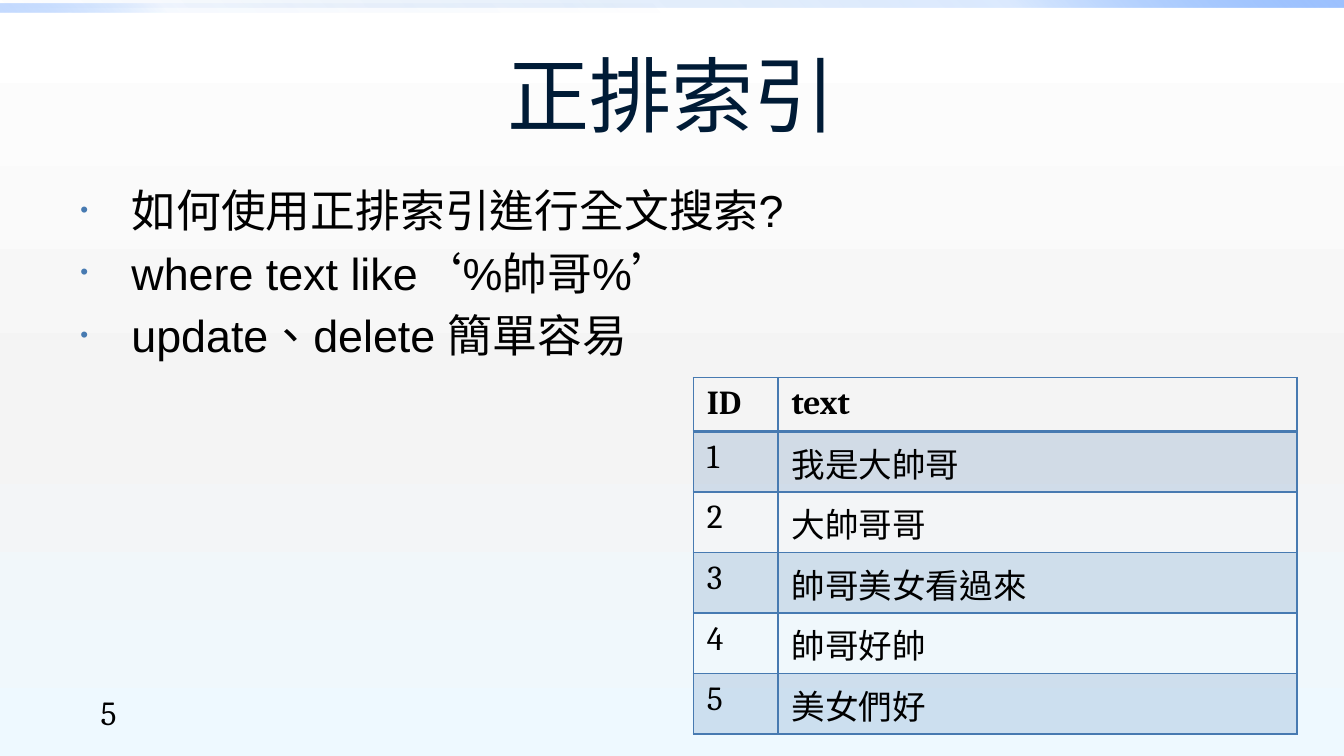
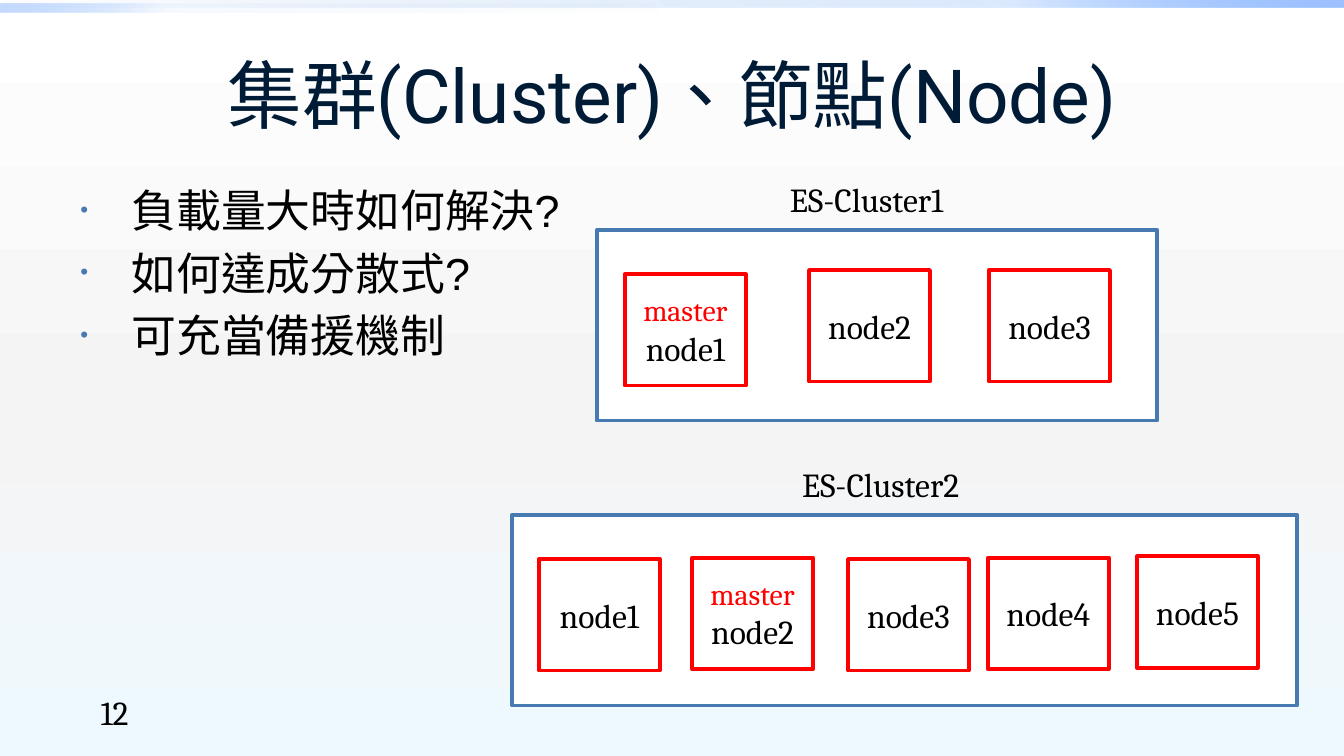
"""Build two slides on forward indexes and search clusters."""
from lxml import etree
from pptx import Presentation
from pptx.dml.color import RGBColor
from pptx.enum.shapes import MSO_SHAPE
from pptx.enum.text import MSO_ANCHOR, MSO_AUTO_SIZE, PP_ALIGN
from pptx.oxml.ns import qn
from pptx.util import Inches, Pt

RECT = MSO_SHAPE.RECTANGLE
TOP, MIDDLE = MSO_ANCHOR.TOP, MSO_ANCHOR.MIDDLE
GROW, FIXED = MSO_AUTO_SIZE.SHAPE_TO_FIT_TEXT, MSO_AUTO_SIZE.NONE
LEFT, CENTER = PP_ALIGN.LEFT, PP_ALIGN.CENTER

BLUE, RED, WHITE, BLACK, NAVY = "477AB1", "FF0000", "FFFFFF", "000000", "001B36"
TITLE = {"name": "Roboto", "size": Pt(44), "color": NAVY}
LONG_TITLE = {**TITLE, "size": Pt(40)}
BULLET = {"name": "Arial", "size": Pt(24), "color": BLACK}
LABEL = {"name": "Cambria", "size": Pt(18), "color": BLACK, "bold": False}
HEADER = {**LABEL, "bold": True}
MASTER = {**LABEL, "size": Pt(16), "color": RED}
LANGUAGE = "zh-TW"

SLIDE_WIDTH = Inches(10)
SLIDE_HEIGHT = SLIDE_WIDTH * 9 // 16
BACKDROP = [(0, "FFFFFF", 100), (55, "F4F4F4", 100), (100, "EEF9FF", 100)]
BANDS = [
    ((0, 0, 10, 0.06), 315, [(0, "0058B7", 0), (75, "4F95FF", 20), (100, "9EC2FF", 100)]),
    ((0, 0.03, 5, 0.06), 135, [(0, "0058B7", 0), (75, "4F95FF", 5), (100, "9EC2FF", 60)]),
]
TITLE_BOX = (0.5, 0.23, 9, 0.94)
NUMBER_BOX = (0.65, 5.1, 0.73, 0.3)
NODE_SIZE = (0.9, 0.83)
GRID_STYLE = "{5940675A-B579-460E-94D1-54222C63F5DA}"

INDEX_BULLETS = ["如何使用正排索引進行全文搜索?", "where text like‘%帥哥%’", "update、delete 簡單容易"]
INDEX_ROWS = [("ID", "text"), ("1", "我是大帥哥"), ("2", "大帥哥哥"),
              ("3", "帥哥美女看過來"), ("4", "帥哥好帥"), ("5", "美女們好")]
INDEX_COLUMNS = (0.63, 3.86)
INDEX_HEIGHTS = (0.33, 0.41, 0.41, 0.41, 0.41, 0.41)
INDEX_BOX = (5.16, 2.81, 4.49, 2.43)

CLUSTER_BULLETS = ["負載量大時如何解決?", "如何達成分散式?", "可充當備援機制"]
CLUSTERS = [
    {"name": "ES-Cluster2", "name_box": (5.87, 3.4, 2.68, 0.71), "frame": (3.81, 3.83, 5.84, 1.42),
     "nodes": [(4.01, 4.16, [[("node1", LABEL)]]),
               (5.15, 4.15, [[("master ", MASTER), ("node2", LABEL)]]),
               (6.31, 4.16, [[("node3", LABEL)]]),
               (7.35, 4.15, [[("node4", LABEL)]]),
               (8.46, 4.14, [[("node5", LABEL)]])]},
    {"name": "ES-Cluster1", "name_box": (5.78, 1.28, 1.57, 0.4), "frame": (4.44, 1.71, 4.17, 1.42),
     "nodes": [(4.65, 2.04, [[("master", MASTER)], [("node1", LABEL)]]),
               (6.02, 2.01, [[("node2", LABEL)]]),
               (7.36, 2.01, [[("node3", LABEL)]])]},
]


def rgb(color):
    """Turn a hex string into a colour."""
    return RGBColor.from_string(color)


def inches(values):
    """Convert numbers to lengths."""
    return [Inches(value) for value in values]


def add(parent, tag, **attributes):
    """Append an XML child with the given attributes."""
    child = etree.SubElement(parent, qn(tag))
    for key, value in attributes.items():
        child.set(key, str(value))
    return child


def set_gradient(fill, element, stops, angle):
    """Give a fill a linear gradient of (percent, colour, opacity) stops."""
    fill.gradient()
    gradient = element.find(".//" + qn("a:gradFill"))
    stop_list = gradient.find(qn("a:gsLst"))
    for default in list(stop_list):
        stop_list.remove(default)
    for position, color, opacity in stops:
        stop = add(stop_list, "a:gs", pos=position * 1000)
        stop_color = add(stop, "a:srgbClr", val=color)
        if opacity < 100:
            add(stop_color, "a:alpha", val=opacity * 1000)
    gradient.find(qn("a:lin")).set("ang", str(angle * 60000))


def write(frame, paragraphs, align=LEFT, **frame_format):
    """Fill a text frame with paragraphs of (text, format) runs."""
    for key, value in {"word_wrap": True, **frame_format}.items():
        setattr(frame, key, value)
    for index, runs in enumerate(paragraphs):
        paragraph = frame.paragraphs[0] if index == 0 else frame.add_paragraph()
        paragraph.alignment = align
        for text, font_format in runs:
            run = paragraph.add_run()
            run.text = text
            run._r.get_or_add_rPr().set("lang", LANGUAGE)
            for key, value in font_format.items():
                if key == "color":
                    run.font.color.rgb = rgb(value)
                else:
                    setattr(run.font, key, value)


def add_text(shapes, box, paragraphs, **frame_format):
    """Add a text box."""
    text_box = shapes.add_textbox(*inches(box))
    write(text_box.text_frame, paragraphs, **frame_format)
    return text_box


def add_rectangle(shapes, box, line):
    """Add a white rectangle with a coloured outline."""
    rectangle = shapes.add_shape(RECT, *inches(box))
    rectangle.shadow.inherit = False
    rectangle.fill.solid()
    rectangle.fill.fore_color.rgb = rgb(WHITE)
    rectangle.line.color.rgb = rgb(line)
    rectangle.line.width = Pt(2)
    return rectangle


def add_bullets(slide, box, lines):
    """Add the bulleted list of a slide."""
    bullets = add_text(slide.shapes, box, [[(line, BULLET)] for line in lines])
    for paragraph in bullets.text_frame.paragraphs:
        properties = paragraph._p.get_or_add_pPr()
        properties.set("marL", str(Inches(0.38)))
        properties.set("indent", str(Inches(-0.38)))
        add(add(properties, "a:spcBef"), "a:spcPct", val=20000)
        add(add(properties, "a:buClr"), "a:srgbClr", val=BLUE)
        add(properties, "a:buSzPct", val=50000)
        add(properties, "a:buFont", typeface="Arial")
        add(properties, "a:buChar", char="•")


def decorate_master(master, slide):
    """Put the backdrop and the bands on the master, drawing the bands by way of a slide."""
    set_gradient(master.background.fill, master.element, BACKDROP, 90)
    for index, (box, angle, stops) in enumerate(BANDS):
        band = slide.shapes.add_shape(RECT, *inches(box))
        band.shadow.inherit = False
        band.line.fill.background()
        set_gradient(band.fill, band._element, stops, angle)
        band._element.nvSpPr.cNvPr.set("id", str(100 + index))
        master.shapes._spTree.insert(2 + index, band._element)


def add_slide(deck, title, title_format):
    """Add a slide with its title."""
    slide = deck.slides.add_slide(deck.slide_layouts[5])
    heading = slide.shapes.title
    heading.left, heading.top, heading.width, heading.height = inches(TITLE_BOX)
    write(heading.text_frame, [[(title, title_format)]], CENTER,
          vertical_anchor=MIDDLE, auto_size=FIXED)
    return slide


def add_number(slide, number):
    """Add the page number."""
    add_text(slide.shapes, NUMBER_BOX, [[(number, LABEL)]])


def format_cell(cell, row):
    """Draw the borders of a cell and shade odd rows."""
    properties = cell._tc.get_or_add_tcPr()
    for side in "LRTB":
        heavy = (row == 0 and side == "B") or (row == 1 and side == "T")
        border = add(properties, f"a:ln{side}", w=Pt(2 if heavy else 1))
        add(add(border, "a:solidFill"), "a:srgbClr", val=BLUE)
    if row:
        cell.margin_bottom = Inches(0.1)
    if row % 2:
        cell.fill.solid()
        cell.fill.fore_color.rgb = rgb(BLUE)
        shade = properties.find(qn("a:solidFill")).find(qn("a:srgbClr"))
        add(shade, "a:alpha", val=20000)
    else:
        cell.fill.background()


def add_index_table(slide):
    """Add the table that maps IDs to texts."""
    graphic = slide.shapes.add_table(len(INDEX_ROWS), len(INDEX_COLUMNS), *inches(INDEX_BOX))
    table = graphic.table
    table._tbl.tblPr.find(qn("a:tableStyleId")).text = GRID_STYLE
    for column, width in zip(table.columns, INDEX_COLUMNS):
        column.width = Inches(width)
    for row, texts in enumerate(INDEX_ROWS):
        table.rows[row].height = Inches(INDEX_HEIGHTS[row])
        for column, text in enumerate(texts):
            cell = table.cell(row, column)
            write(cell.text_frame, [[(text, LABEL if row else HEADER)]])
            format_cell(cell, row)
    graphic.height = Inches(INDEX_BOX[3])


def add_cluster(slide, cluster):
    """Add a group with a cluster frame, its name and its nodes."""
    shapes = slide.shapes.add_group_shape().shapes
    add_rectangle(shapes, cluster["frame"], BLUE)
    add_text(shapes, cluster["name_box"], [[(cluster["name"], LABEL)]],
             vertical_anchor=TOP, auto_size=GROW)
    for left, top, paragraphs in cluster["nodes"]:
        node = add_rectangle(shapes, (left, top) + NODE_SIZE, RED)
        write(node.text_frame, paragraphs, CENTER, vertical_anchor=MIDDLE)


def main():
    """Build and save the deck."""
    deck = Presentation()
    deck.slide_width, deck.slide_height = SLIDE_WIDTH, SLIDE_HEIGHT

    index_slide = add_slide(deck, "正排索引", TITLE)
    decorate_master(deck.slide_master, index_slide)
    add_bullets(index_slide, (0.5, 1.31, 9, 3.86), INDEX_BULLETS)
    add_index_table(index_slide)
    add_number(index_slide, "5")

    cluster_slide = add_slide(deck, "集群(Cluster)、節點(Node)", LONG_TITLE)
    for cluster in CLUSTERS:
        add_cluster(cluster_slide, cluster)
    add_bullets(cluster_slide, (0.5, 1.31, 3.71, 3.71), CLUSTER_BULLETS)
    add_number(cluster_slide, "12")
    deck.save("out.pptx")


if __name__ == "__main__":
    main()
